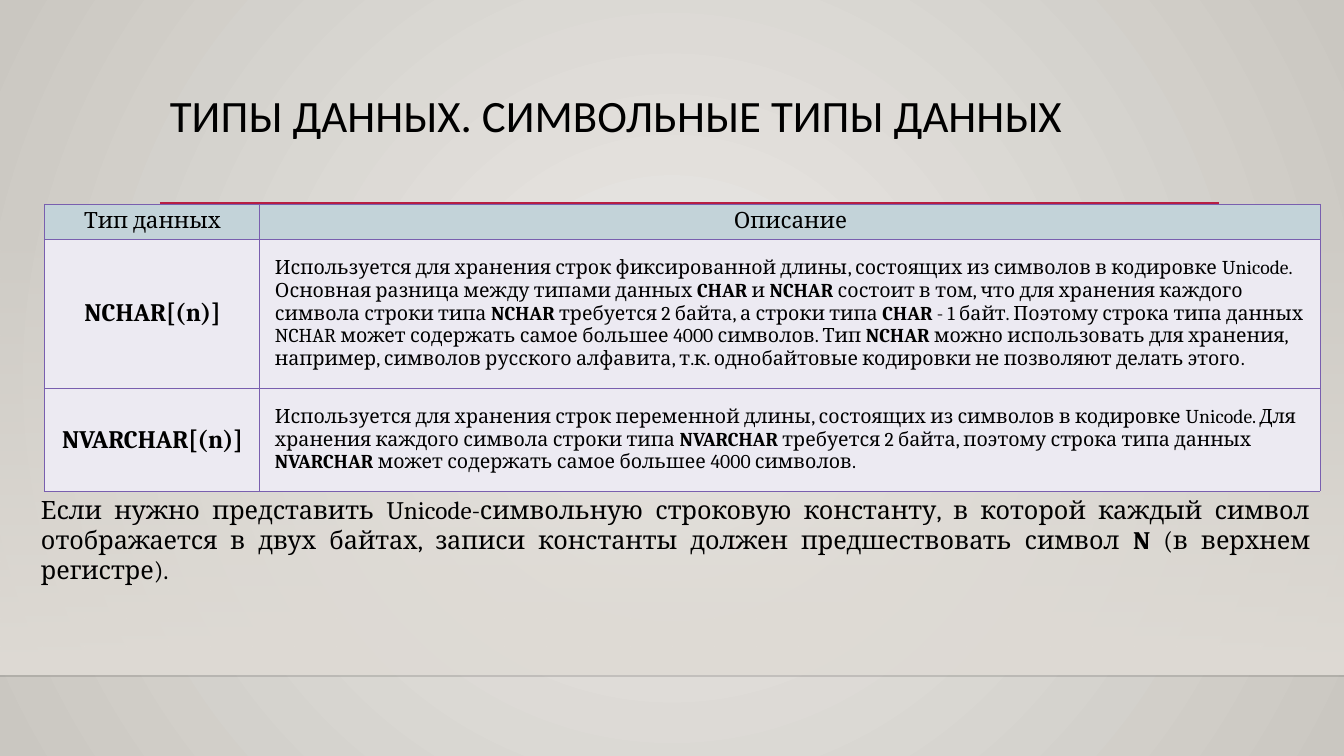
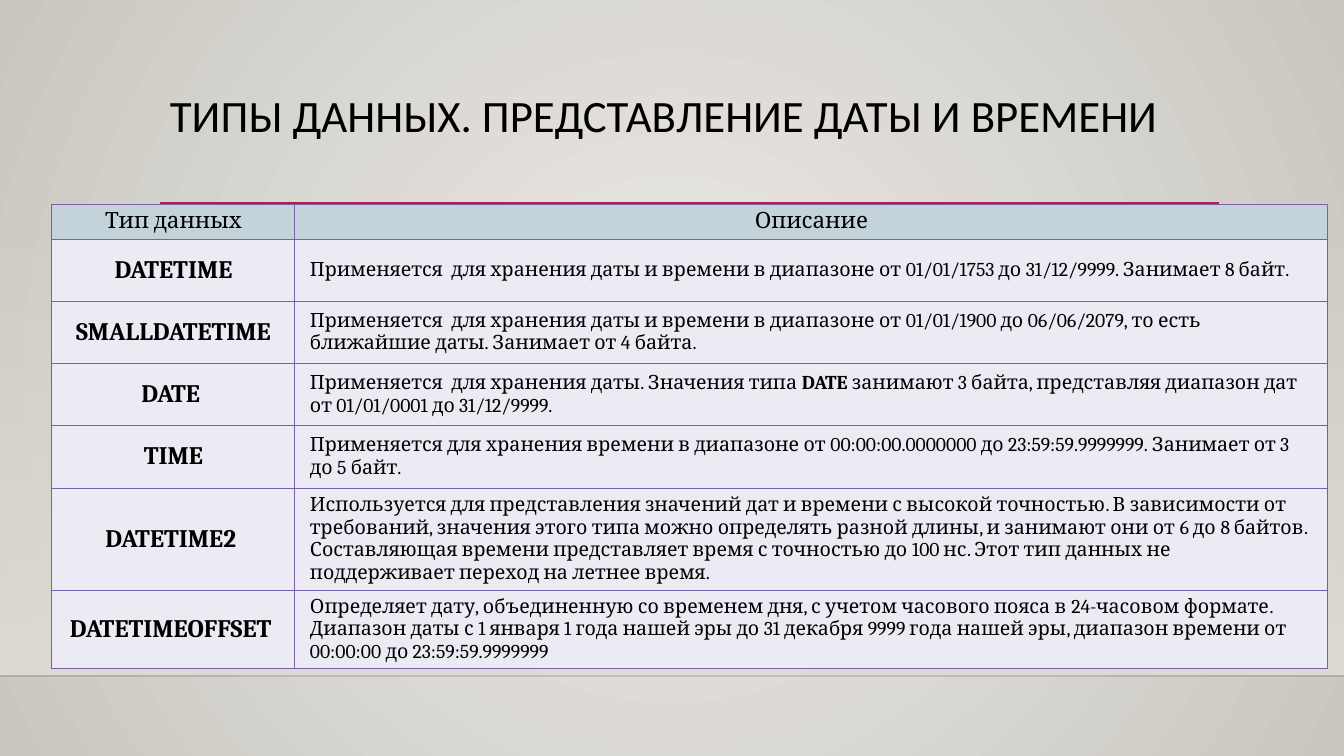
"""Build two slides on SQL character and date data types."""
from lxml.etree import SubElement
from pptx import Presentation
from pptx.dml.color import RGBColor
from pptx.enum.shapes import MSO_CONNECTOR, MSO_SHAPE
from pptx.enum.text import MSO_ANCHOR, PP_ALIGN
from pptx.oxml.ns import qn
from pptx.util import Pt

SCALE = 914400 / 100.8
WIDTH, HEIGHT = 1344, 756
TABLE_TOP, TABLE_WIDTH = 204, 1276
HEADINGS = ("Тип данных", "Описание")

COLORS = {
    "text": "000000", "center": "ECEAE7", "edge": "CAC7C1", "band": "DFDBD5",
    "floor": "000001", "accent": "B71E42", "border": "795FAF",
    "header": "C3D3D9", "body": "ECEAF2",
}
TITLE = {"size": Pt(32), "name": "Calibri", "bold": False}
HEADER = {"size": Pt(16), "name": "Cambria", "bold": False}
TYPE_NAME = {"size": Pt(18), "name": "Cambria", "bold": True}
DESCRIPTION = {"size": Pt(14), "name": "Cambria", "bold": False}
NOTE = {"size": Pt(18), "name": "Cambria", "bold": False}

SLIDES = [
    {
        "title": "ТИПЫ ДАННЫХ. СИМВОЛЬНЫЕ ТИПЫ ДАННЫХ",
        "left": 44, "name_width": 215, "inset": 16,
        "heights": (33, 144, 99),
        "rows": [
            ("NCHAR[(n)]",
             "Используется для хранения строк фиксированной длины, состоящих из "
             "символов в кодировке Unicode. Основная разница между типами данных "
             "**CHAR** и **NCHAR** состоит в том, что для хранения каждого символа "
             "строки типа **NCHAR** требуется 2 байта, а строки типа **CHAR** - 1 байт. "
             "Поэтому строка типа данных NCHAR может содержать самое большее 4000 "
             "символов. Тип **NCHAR** можно использовать для хранения, например, "
             "символов русского алфавита, т.к. однобайтовые кодировки не позволяют "
             "делать этого."),
            ("NVARCHAR[(n)]",
             "Используется для хранения строк переменной длины, состоящих из "
             "символов в кодировке Unicode. Для хранения каждого символа строки "
             "типа **NVARCHAR** требуется 2 байта, поэтому строка типа данных "
             "**NVARCHAR** может содержать самое большее 4000 символов."),
        ],
        "note": "Если нужно представить Unicode-символьную строковую константу, в "
                "которой каждый символ отображается в двух байтах, записи константы "
                "должен предшествовать символ **N** (в верхнем регистре).",
    },
    {
        "title": "ТИПЫ ДАННЫХ. ПРЕДСТАВЛЕНИЕ ДАТЫ И ВРЕМЕНИ",
        "left": 51, "name_width": 243, "inset": 4,
        "heights": (33, 60, 61, 60, 61, 98, 76),
        "rows": [
            ("DATETIME",
             "Применяется  для хранения даты и времени в диапазоне от 01/01/1753 "
             "до 31/12/9999. Занимает 8 байт."),
            ("SMALLDATETIME",
             "Применяется  для хранения даты и времени в диапазоне от 01/01/1900 "
             "до 06/06/2079, то есть ближайшие даты. Занимает от 4 байта."),
            ("DATE\u00a0",
             "Применяется  для хранения даты. Значения типа **DATE** занимают 3 "
             "байта, представляя диапазон дат от 01/01/0001 до 31/12/9999."),
            ("TIME",
             "Применяется для хранения времени\u00a0в диапазоне от 00:00:00.0000000 "
             "до 23:59:59.9999999. Занимает от 3 до 5 байт."),
            ("DATETIME2\u00a0",
             "Используется для представления значений дат и времени с высокой "
             "точностью. В зависимости от требований, значения этого типа можно "
             "определять разной длины, и занимают они от 6 до 8 байтов. "
             "Составляющая времени представляет время с точностью до 100 нс. "
             "Этот тип данных не поддерживает переход на летнее время."),
            ("DATETIMEOFFSET\u00a0",
             "Определяет дату, объединенную со временем дня, с учетом часового "
             "пояса в 24-часовом формате. Диапазон даты с 1\u00a0января 1\u00a0года нашей "
             "эры до 31\u00a0декабря 9999\u00a0года нашей эры, диапазон времени от "
             "00:00:00 до 23:59:59.9999999"),
        ],
        "note": None,
    },
]


def px(*lengths):
    """Turn pixels into EMU."""
    return [round(length * SCALE) for length in lengths]


def color(name):
    """Return a palette colour."""
    return RGBColor.from_string(COLORS[name])


def add_solid(parent, name, alpha=100):
    """Append a colour element with an opacity in percent."""
    tint = SubElement(parent, qn("a:srgbClr"), val=COLORS[name])
    if alpha < 100:
        SubElement(tint, qn("a:alpha"), val=str(alpha * 1000))


def paint_gradient(fill, owner, stops, circular=False):
    """Give a fill two stops, running downwards or out from the centre."""
    fill.gradient()
    gradient = owner.find(".//" + qn("a:gradFill"))
    for child in list(gradient):
        gradient.remove(child)
    stop_list = SubElement(gradient, qn("a:gsLst"))
    for position, name, alpha in stops:
        stop = SubElement(stop_list, qn("a:gs"), pos=str(position * 1000))
        add_solid(stop, name, alpha)
    if circular:
        circle = SubElement(gradient, qn("a:path"), path="circle")
        SubElement(circle, qn("a:fillToRect"), dict.fromkeys("ltrb", "50000"))
    else:
        SubElement(gradient, qn("a:lin"), ang="5400000", scaled="0")


def write(frame, text, style, align=PP_ALIGN.LEFT, spacing=None):
    """Write one paragraph, with bold between double asterisks."""
    frame.word_wrap = True
    para = frame.paragraphs[0]
    para.alignment = align
    para.line_spacing = spacing
    for index, part in enumerate(text.split("**")):
        span = para.add_run()
        span.text = part
        for key, value in style.items():
            setattr(span.font, key, value)
        span.font.bold = style["bold"] or index % 2 == 1
        span.font.color.rgb = color("text")


def add_rule(page, left, right, top, name, weight, alpha=100):
    """Draw a horizontal rule."""
    rule = page.shapes.add_connector(
        MSO_CONNECTOR.STRAIGHT, *px(left, top, right, top))
    rule.line.width = Pt(weight)
    rule.line.color.rgb = color(name)
    properties = rule._element.spPr
    if alpha < 100:
        tint = properties.find(".//" + qn("a:srgbClr"))
        SubElement(tint, qn("a:alpha"), val=str(alpha * 1000))
    SubElement(properties, qn("a:effectLst"))


def add_frame(page, title):
    """Draw the band, rules and title that every slide has."""
    band = page.shapes.add_shape(MSO_SHAPE.RECTANGLE, *px(0, 223, WIDTH, 452))
    band.shadow.inherit = False
    band.line.fill.background()
    paint_gradient(band.fill, band._element, [(0, "band", 0), (100, "band", 100)])
    add_rule(page, 0, WIDTH, 676, "floor", 1, 20)
    add_rule(page, 160, 1219, 204, "accent", 2.5)
    box = page.shapes.add_textbox(*px(160, 89, 1059, 116))
    write(box.text_frame, title, TITLE, spacing=0.9)


def format_cell(cell, fill, across, down):
    """Set fill, borders and margins of a cell."""
    cell.vertical_anchor = MSO_ANCHOR.MIDDLE
    cell.margin_left, cell.margin_right = px(across, across - 2)
    cell.margin_top = cell.margin_bottom = px(down)[0]
    cell.fill.solid()
    cell.fill.fore_color.rgb = color(fill)
    properties = cell._tc.get_or_add_tcPr()
    for index, side in enumerate("LRTB"):
        border = SubElement(properties, qn("a:ln" + side), w=str(Pt(0.25)))
        add_solid(SubElement(border, qn("a:solidFill")), "border")
        properties.insert(index, border)


def add_type_table(page, content):
    """Add the table of data types and their descriptions."""
    rows = [HEADINGS] + content["rows"]
    heights = content["heights"]
    table = page.shapes.add_table(
        len(rows), 2, *px(content["left"], TABLE_TOP, TABLE_WIDTH, sum(heights))).table
    table.first_row = table.horz_banding = False
    name_width = content["name_width"]
    widths = px(name_width, TABLE_WIDTH - name_width)
    for column, width in zip(table.columns, widths):
        column.width = width
    for row, height in zip(table.rows, px(*heights)):
        row.height = height
    for row_index, texts in enumerate(rows):
        for column_index, text in enumerate(texts):
            cell = table.cell(row_index, column_index)
            style, align = TYPE_NAME, PP_ALIGN.CENTER
            fill, across, down = "body", 16, 16
            if row_index == 0:
                style, fill, across, down = HEADER, "header", 4, 4
            elif column_index == 1:
                style, align, down = DESCRIPTION, PP_ALIGN.LEFT, content["inset"]
            format_cell(cell, fill, across, down)
            write(cell.text_frame, text, style, align)


deck = Presentation()
deck.slide_width, deck.slide_height = px(WIDTH, HEIGHT)
master = deck.slide_master
paint_gradient(master.background.fill, master.element,
               [(0, "center", 100), (100, "edge", 100)], circular=True)
for content in SLIDES:
    page = deck.slides.add_slide(deck.slide_layouts[6])
    add_frame(page, content["title"])
    add_type_table(page, content)
    if content["note"]:
        note_box = page.shapes.add_textbox(*px(31, 489, 1289, 72))
        write(note_box.text_frame, content["note"], NOTE, PP_ALIGN.JUSTIFY)
deck.save("out.pptx")
